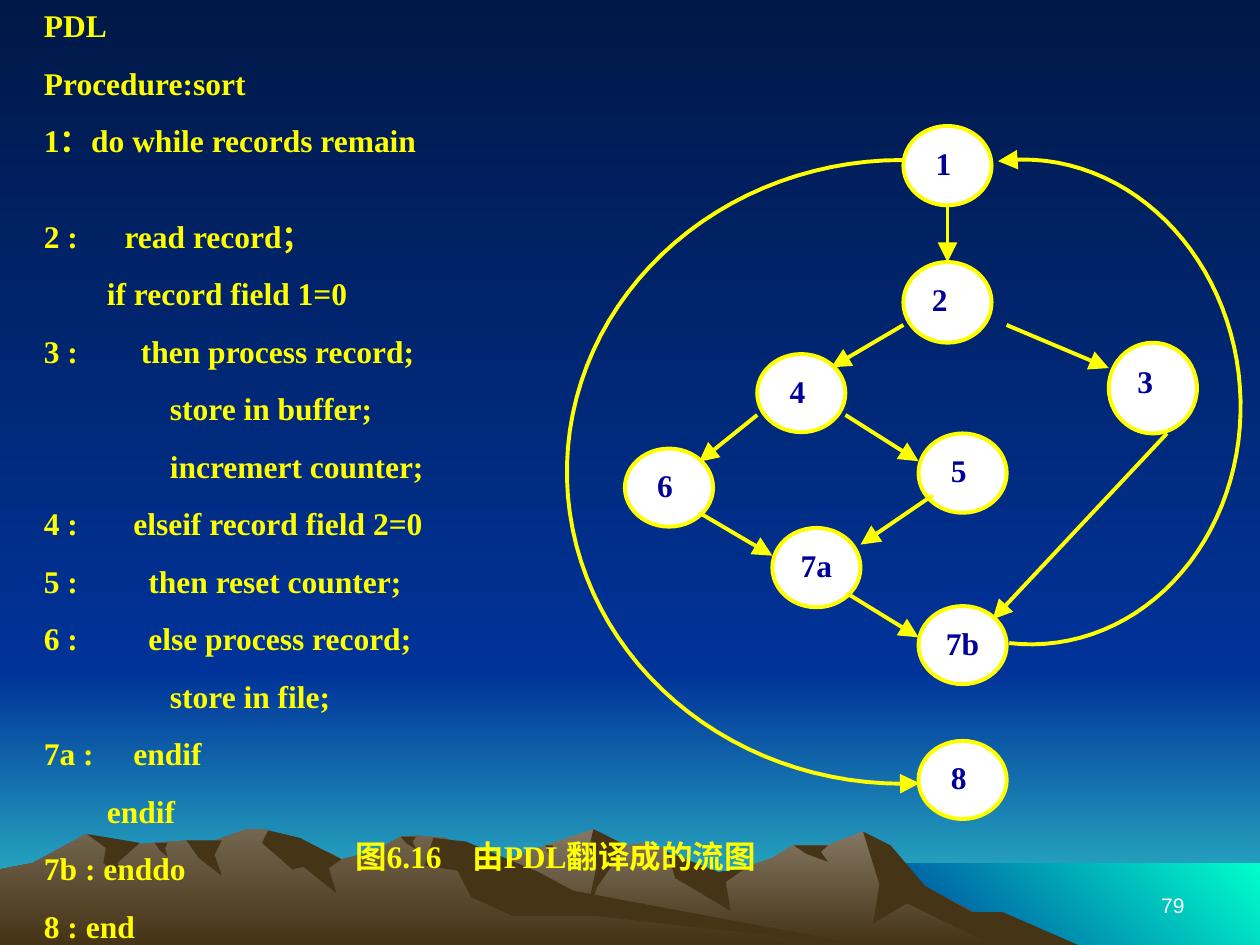
from math import cos, radians, sin

from pptx import Presentation, util as u
from pptx.dml.color import RGBColor
from pptx.enum import shapes, text
from pptx.oxml.ns import qn
from lxml import etree

YELLOW = RGBColor(0xFF, 0xFF, 0x00)
WHITE = RGBColor(0xFF, 0xFF, 0xFF)
NAVY = RGBColor(0x00, 0x00, 0x99)
BLUE = RGBColor(0x00, 0x00, 0xFF)
NIGHT = RGBColor(0x00, 0x18, 0x47)
DEEP = RGBColor(0x00, 0x33, 0x99)
TEAL = RGBColor(0x33, 0xCC, 0xCC)
MINT = RGBColor(0x00, 0xFF, 0xCC)
STONE = RGBColor(0x84, 0x78, 0x64)
CLAY = RGBColor(0x73, 0x65, 0x4F)
EARTH = RGBColor(0x46, 0x34, 0x16)

COLUMNS, ROWS = 1000, 750
HORIZON, SHORE = 533, 685  # rows where the sky ends and the sea begins
DOWN, UP_RIGHT = 270, 45   # gradient directions

deck = Presentation()
deck.slide_width, deck.slide_height = u.Inches(10), u.Inches(7.5)
CELL = deck.slide_width // COLUMNS
page = deck.slides.add_slide(deck.slide_layouts[6])
page.background.fill.solid()
page.background.fill.fore_color.rgb = BLUE


def outline(points, close):
    """Draw a polygon or an open line through grid points."""
    spots = [(round(x * CELL), round(y * CELL)) for x, y in points]
    builder = page.shapes.build_freeform(*spots[0], scale=1.0)
    builder.add_line_segments(spots[1:], close=close)
    shape = builder.convert_to_shape()
    shape.shadow.inherit = False
    return shape


def write(para, words, colour, size=18, font="Times New Roman", bold=True, tab=None):
    """Add one run, with an optional tab stop at a grid column."""
    if tab:
        stops = etree.SubElement(para._p.get_or_add_pPr(), qn("a:tabLst"))
        etree.SubElement(stops, qn("a:tab"), pos=str(tab * CELL), algn="l")
    span = para.add_run()
    span.text = words
    span.font.name, span.font.size, span.font.bold = font, u.Pt(size), bold
    span.font.color.rgb = colour


# Scenery: the sea and sky are rectangles given by left, top, right, bottom
bands = [
    ((0, HORIZON, COLUMNS, ROWS), DEEP, TEAL, DOWN),
    ((0, 0, COLUMNS, HORIZON), NIGHT, DEEP, DOWN),
    ((683, SHORE, COLUMNS, ROWS), DEEP, MINT, UP_RIGHT),
]
scenery = [([(left, top), (right, top), (right, bottom), (left, bottom)], first, last, turn)
           for (left, top, right, bottom), first, last, turn in bands]

# A mountain range is a ridge from left to right, closed along the foot of the slide
right_ridge = [(327, 709), (394, 685), (433, 671), (471, 658), (486, 673), (509, 669),
               (526, 673), (536, 690), (566, 697), (613, 681), (629, 671), (656, 671),
               (685, 660), (702, 671), (723, 698), (778, 727)]
left_ridge = [(26, 685), (68, 662), (94, 671), (148, 667), (160, 671), (195, 658), (212, 658),
              (236, 681), (260, 676), (271, 682), (296, 676), (318, 664), (331, 663),
              (354, 665), (432, 712)]

# Wide slopes in shade follow the ridge and fall to a low point
right_slopes = [
    [(685, 660), (707, 671), (734, 703), (771, 724), (796, 724), (858, 751), (792, 752),
     (720, 717), (693, 733), (698, 702)],
    [(471, 658), (497, 671), (474, 704), (465, 727), (473, 690), (468, 671)],
    [(529, 676), (570, 692), (592, 689), (576, 700), (580, 723), (536, 697)],
]
left_slopes = [
    [(213, 659), (238, 665), (271, 682), (261, 689), (267, 709), (241, 688), (232, 690),
     (208, 669)],
    [(344, 665), (370, 668), (427, 692), (455, 707), (690, 751), (472, 727), (407, 727),
     (374, 712), (363, 691), (337, 687)],
    [(69, 662), (111, 669), (93, 685), (100, 698), (82, 685), (84, 673)],
]

# Small gullies share one outline, scaled to left, top, width, height
GULLY = [(0, 0), (1, 0), (0.8, 0.4), (1, 1), (0.35, 0.5)]
right_gullies = [(630, 671, 27, 13), (433, 671, 6, 13)]
left_gullies = [(318, 664, 12, 10), (148, 667, 28, 28), (123, 669, 10, 11)]

ranges = [
    (258, right_ridge, 821, STONE, right_slopes, right_gullies),
    (0, left_ridge, 690, CLAY, left_slopes, left_gullies),
]
for start, ridge, end, rock, slopes, gullies in ranges:
    foot = [(end, ROWS), (start, ROWS)]
    edge = [(0, 690)] if start == 0 else []
    scenery.append((edge + ridge + foot, rock, EARTH, DOWN))
    notches = [[(left + width * x, top + height * y) for x, y in GULLY]
               for left, top, width, height in gullies]
    scenery += [(shade, EARTH, EARTH, DOWN) for shade in slopes + notches]

for corners, first, last, turn in scenery:
    land = outline(corners, True)
    land.line.fill.background()
    if first == last:
        land.fill.solid()
        land.fill.fore_color.rgb = first
        continue
    land.fill.gradient()
    land.fill.gradient_angle = turn
    for stop, colour in zip(land.fill.gradient_stops, (first, last)):
        stop.color.rgb = colour

# PDL listing: label, column where the statement starts, statement
listing = [
    ("PDL", 0, ""), ("Procedure:sort", 0, ""), ("1：do while records remain", 0, ""),
    ("2 :", 64, "read record；"), ("", 50, "if record field 1=0"),
    ("3 :", 77, "then process record;"), ("", 100, "store in buffer;"),
    ("", 100, "incremert counter;"), ("4 :", 71, "elseif record field 2=0"),
    ("5 :", 83, "then reset counter;"), ("6 :", 83, "else process record;"),
    ("", 100, "store in file;"), ("7a :", 71, "endif"), ("", 50, "endif"),
    ("7b : enddo", 0, ""), ("8 : end", 0, ""),
]
box = page.shapes.add_textbox(25 * CELL, 0, 375 * CELL, 755 * CELL)
box.text_frame.word_wrap = True
for row, (label, column, statement) in enumerate(listing):
    para = box.text_frame.add_paragraph() if row else box.text_frame.paragraphs[0]
    para.alignment = text.PP_ALIGN.JUSTIFY
    if row:
        para.space_before = u.Pt(33 if label == "2 :" else 11.25)
    if label and statement:
        write(para, f"{label}\t{statement}", YELLOW, tab=column)
    else:
        para._p.get_or_add_pPr().set("marL", str(column * CELL))
        write(para, label or statement, YELLOW)

# Flow graph nodes: left, top, height, extra right inset
NODE_WIDTH = 70
nodes = {
    "1": (717, 100, 63, 6), "2": (717, 208, 64, 12), "3": (880, 272, 72, 12),
    "7b": (729, 481, 62, 0), "8": (729, 588, 62, 6), "7a": (613, 419, 63, 0),
    "5": (729, 344, 63, 6), "6": (496, 356, 62, 6), "4": (601, 281, 62, 6),
}
for label, (left, top, height, inset) in nodes.items():
    node = page.shapes.add_shape(shapes.MSO_SHAPE.OVAL, left * CELL, top * CELL,
                                 NODE_WIDTH * CELL, height * CELL)
    node.shadow.inherit = False
    node.fill.solid()
    node.fill.fore_color.rgb = WHITE
    node.line.color.rgb, node.line.width = YELLOW, u.Pt(2.25)
    node.text_frame.vertical_anchor = text.MSO_ANCHOR.TOP
    node.text_frame.margin_right = (10 + inset) * CELL
    para = node.text_frame.paragraphs[0]
    para.alignment = text.PP_ALIGN.CENTER
    write(para, label, NAVY)

# Straight edges join points given as shares of each node's width and height
TOP, BOTTOM = (0.5, 0), (0.5, 1)
LEFT_EXIT, RIGHT_EXIT, LEFT_ENTRY = (0, 0.78), (1, 0.78), (0, 0.35)
UPPER_RIGHT, LOWER_RIGHT, LOWER_LEFT = (0.84, 0.17), (0.84, 0.82), (0.16, 0.78)
edges = [
    ("1", BOTTOM, "2", TOP), ("2", LEFT_EXIT, "4", UPPER_RIGHT),
    ("4", LEFT_EXIT, "6", UPPER_RIGHT), ("4", RIGHT_EXIT, "5", LEFT_ENTRY),
    ("6", LOWER_RIGHT, "7a", LEFT_ENTRY), ("7a", LOWER_RIGHT, "7b", (0, 0.4)),
    ("2", (1.17, 0.78), "3", (0, 0.28)), ("3", (0.66, 1), "7b", UPPER_RIGHT),
    ("5", LOWER_LEFT, "7a", (1, 0.21)),
]
arrows = []
for source, leaving, target, entering in edges:
    ends = []
    for label, (across, down) in ((source, leaving), (target, entering)):
        left, top, height, _ = nodes[label]
        ends += [round((left + across * NODE_WIDTH) * CELL), round((top + down * height) * CELL)]
    arrow = page.shapes.add_connector(shapes.MSO_CONNECTOR.STRAIGHT, *ends)
    etree.SubElement(arrow._element.spPr, qn("a:effectLst"))
    arrows.append(arrow)

# Curved edges are elliptical arcs: centre, radii, tilt, first and last angle
STEPS = 60
arcs = [
    (716, 374.5, 266, 247.5, 0, -90, -273),   # 1 to 8
    (815, 319, 169.5, 192.5, -4.2, 99.5, -93),  # 7b to 1
]
for x, y, wide, high, tilt, first, last in arcs:
    turn = radians(tilt)
    points = []
    for step in range(STEPS + 1):
        angle = radians(first + (last - first) * step / STEPS)
        across, down = wide * cos(angle), high * sin(angle)
        points.append((x + across * cos(turn) - down * sin(turn),
                       y + across * sin(turn) + down * cos(turn)))
    curve = outline(points, False)
    curve.fill.background()
    arrows.append(curve)

for arrow in arrows:
    arrow.line.color.rgb, arrow.line.width = YELLOW, u.Pt(2.25)
    etree.SubElement(arrow.line._get_or_add_ln(), qn("a:tailEnd"),
                     type="triangle", w="lg", len="lg")

# Caption and page number
caption = page.shapes.add_textbox(272 * CELL, 659 * CELL, 358 * CELL, 40 * CELL)
number = page.shapes.add_textbox(717 * CELL, 683 * CELL, 233 * CELL, 50 * CELL)
caption.text_frame.word_wrap = number.text_frame.word_wrap = True
write(caption.text_frame.paragraphs[0], "图6.16\t由PDL翻译成的流图", YELLOW, tab=93)
number.text_frame.vertical_anchor = text.MSO_ANCHOR.BOTTOM
number.text_frame.paragraphs[0].alignment = text.PP_ALIGN.RIGHT
write(number.text_frame.paragraphs[0], "79", WHITE, size=12, font="Arial", bold=False)

deck.save("out.pptx")
